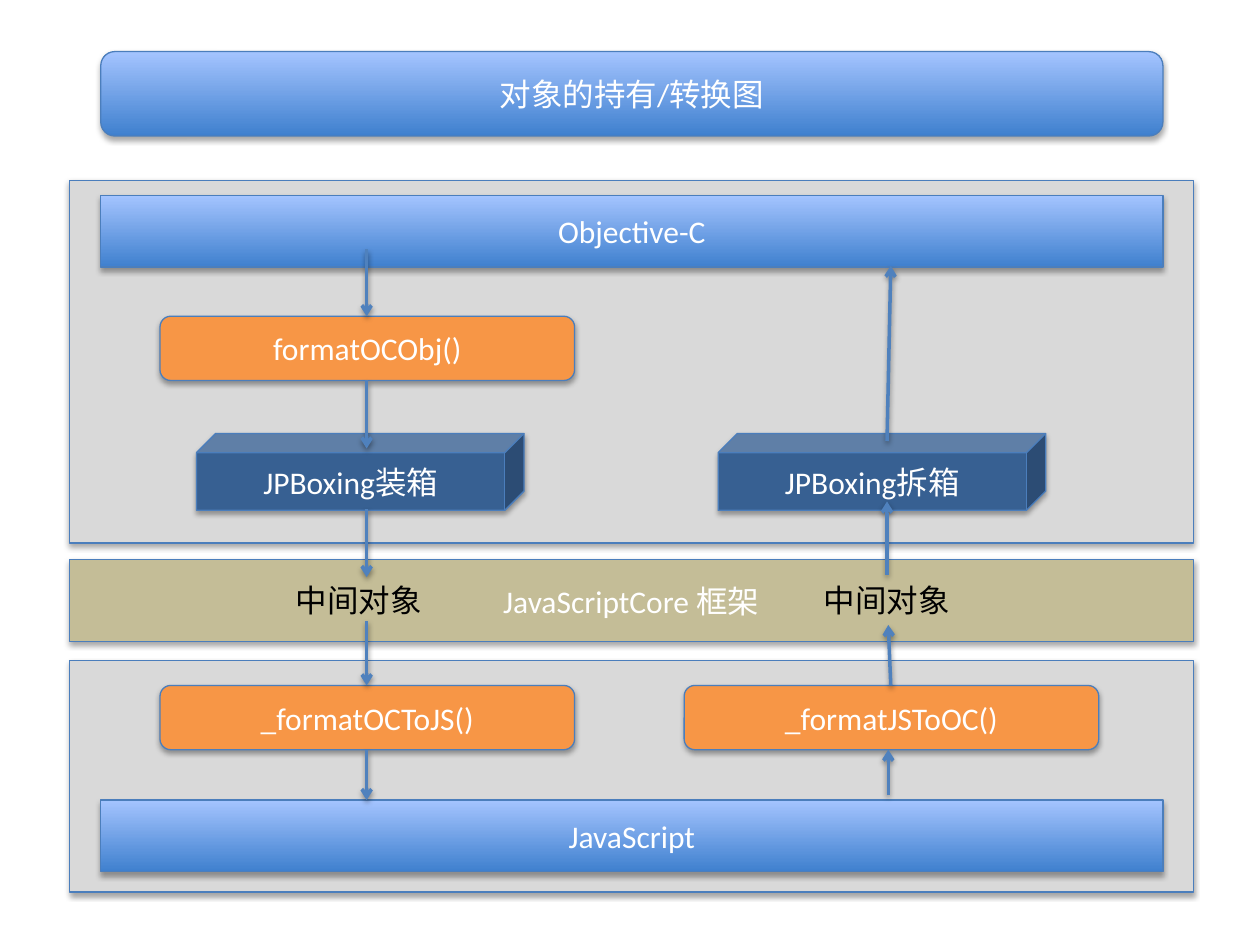
"""Build the slide on how objects are held and converted between Objective-C and JavaScript."""
from pptx import Presentation
from pptx.dml.color import RGBColor
from pptx.enum.shapes import MSO_CONNECTOR, MSO_SHAPE
from pptx.enum.text import MSO_ANCHOR, MSO_AUTO_SIZE, PP_ALIGN
from pptx.oxml import parse_xml
from pptx.oxml.ns import nsdecls
from pptx.util import Inches, Pt

COLORS = {
    "bar_top": "A4C4FF", "bar_bottom": "3F80CE", "panel": "D9D9D9",
    "framework": "C4BD97", "function": "F79646", "boxing": "376092",
    "outline": "4B7EBC", "arrow": "4F81BD", "light": "FFFFFF",
    "dark": "000000", "shadow": "000000",
}
FONT = "Calibri"
PANEL_LEFT, PANEL_WIDTH = 0.55, 8.92
BAR_LEFT, BAR_WIDTH = 0.8, 8.43
FUNCTION_SIZE = (3.29, 0.51)
BOXING_SIZE = (2.6, 0.61)
OC_TO_JS = 2.91


def color(name):
    return RGBColor.from_string(COLORS[name])


def add_shadow(properties, alpha, distance):
    properties.append(parse_xml(
        f'<a:effectLst {nsdecls("a")}><a:outerShdw blurRad="{Pt(3.1)}" dist="{Pt(distance)}" '
        f'dir="5400000" rotWithShape="0"><a:srgbClr val="{COLORS["shadow"]}">'
        f'<a:alpha val="{alpha * 1000}"/></a:srgbClr></a:outerShdw></a:effectLst>'))


def write(frame, text, ink, align):
    frame.word_wrap = True
    paragraph = frame.paragraphs[0]
    paragraph.alignment = align
    run = paragraph.add_run()
    run.text = text
    run.font.name = FONT
    run.font.size = Pt(18)
    run.font.color.rgb = color(ink)


def add_block(slide, kind, box, fill, text=None):
    block = slide.shapes.add_shape(kind, *map(Inches, box))
    if fill == "bar":
        block.fill.gradient()
        block.fill.gradient_angle = 90
        for stop, shade in zip(block.fill.gradient_stops, ("bar_bottom", "bar_top")):
            stop.color.rgb = color(shade)
    else:
        block.fill.solid()
        block.fill.fore_color.rgb = color(fill)
    block.line.color.rgb = color("outline")
    block.line.width = Pt(0.75)
    add_shadow(block._element.spPr, 35, 1.8)
    if text:
        block.text_frame.vertical_anchor = MSO_ANCHOR.MIDDLE
        write(block.text_frame, text, "light", PP_ALIGN.CENTER)


def add_label(slide, left, text):
    label = slide.shapes.add_textbox(*map(Inches, (left, 4.56, 1.41, 0.4)))
    write(label.text_frame, text, "dark", PP_ALIGN.LEFT)
    label.text_frame.auto_size = MSO_AUTO_SIZE.SHAPE_TO_FIT_TEXT


def add_arrow(slide, start, end):
    arrow = slide.shapes.add_connector(MSO_CONNECTOR.STRAIGHT, *map(Inches, start + end))
    arrow.line.color.rgb = color("arrow")
    arrow.line.width = Pt(2)
    arrow.line._get_or_add_ln().append(parse_xml(f'<a:tailEnd {nsdecls("a")} type="arrow"/>'))
    add_shadow(arrow._element.spPr, 38, 1.6)


def main():
    deck = Presentation()
    deck.slide_width, deck.slide_height = Inches(10), Inches(7.5)
    slide = deck.slides.add_slide(deck.slide_layouts[6])

    add_block(slide, MSO_SHAPE.ROUNDED_RECTANGLE, (BAR_LEFT, 0.41, BAR_WIDTH, 0.67),
              "bar", "对象的持有/转换图")
    for top, height, fill, text in ((1.43, 2.88, "panel", None), (5.24, 1.84, "panel", None),
                                    (4.44, 0.65, "framework", "JavaScriptCore 框架")):
        add_block(slide, MSO_SHAPE.RECTANGLE, (PANEL_LEFT, top, PANEL_WIDTH, height), fill, text)
    for top, language in ((1.55, "Objective-C"), (6.35, "JavaScript")):
        add_block(slide, MSO_SHAPE.RECTANGLE, (BAR_LEFT, top, BAR_WIDTH, 0.57), "bar", language)
    for left, top, function in ((1.27, 5.44, "_formatOCToJS()"), (5.43, 5.44, "_formatJSToOC()"),
                                (1.27, 2.51, "formatOCObj()")):
        add_block(slide, MSO_SHAPE.ROUNDED_RECTANGLE, (left, top, *FUNCTION_SIZE),
                  "function", function)
    for left, boxing in ((1.56, "JPBoxing装箱"), (5.7, "JPBoxing拆箱")):
        add_block(slide, MSO_SHAPE.CUBE, (left, 3.44, *BOXING_SIZE), "boxing", boxing)

    for start, end in ((5.95, 6.35), (4.93, 5.44), (4.04, 4.58), (3.02, 3.56), (1.98, 2.51)):
        add_arrow(slide, (OC_TO_JS, start), (OC_TO_JS, end))
    for start, end in (((7.05, 6.31), (7.05, 5.95)), ((7.07, 5.44), (7.05, 4.96)),
                       ((7.04, 4.56), (7.04, 3.98)), ((7.04, 3.5), (7.07, 2.11))):
        add_arrow(slide, start, end)
    for left in (2.25, 6.44):
        add_label(slide, left, "中间对象")

    deck.save("out.pptx")


main()
